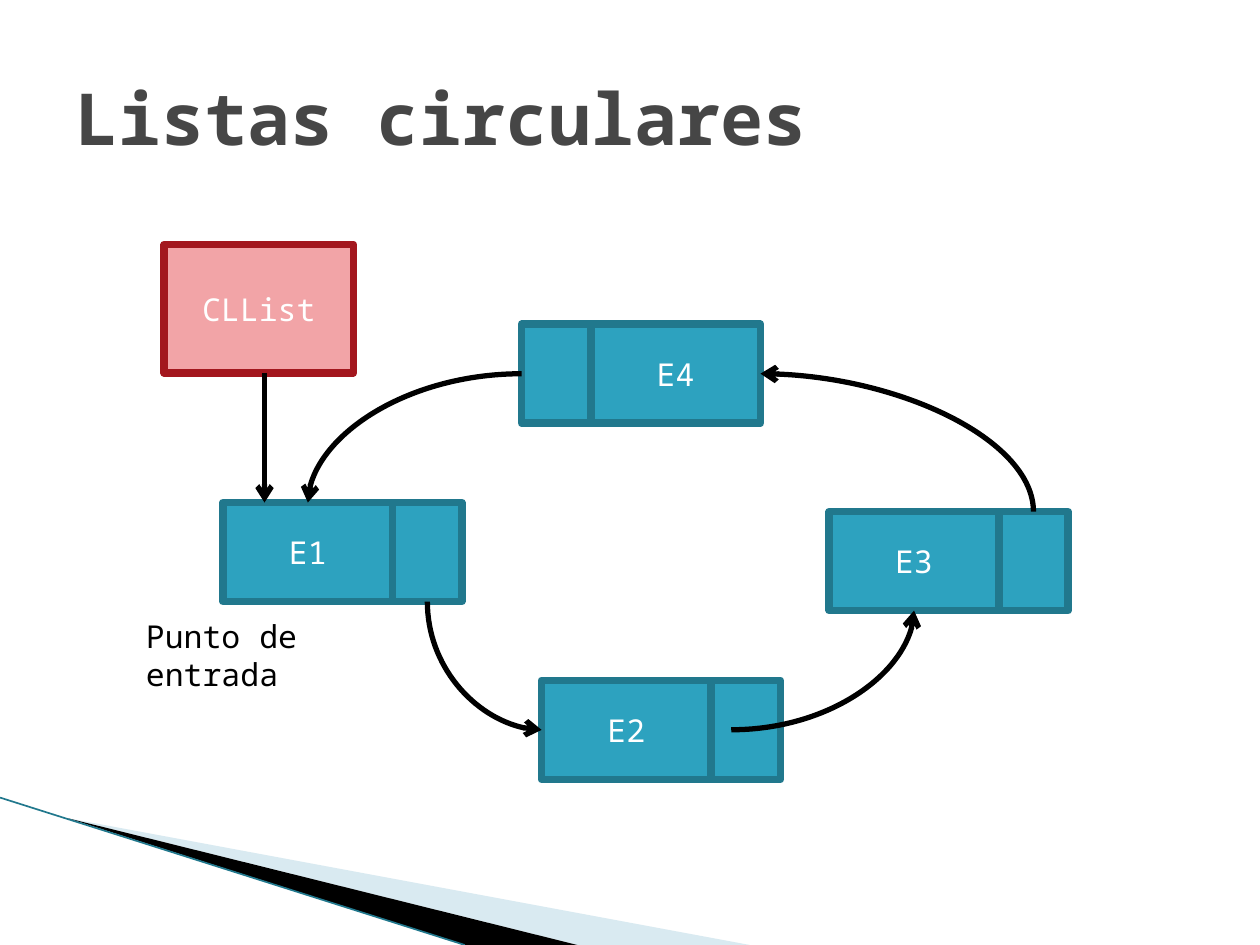
from lxml import etree
from pptx import Presentation
from pptx.dml.color import RGBColor
from pptx.enum.shapes import MSO_CONNECTOR, MSO_SHAPE
from pptx.enum.text import MSO_ANCHOR, PP_ALIGN
from pptx.oxml.ns import qn
from pptx.util import Inches, Pt

RECTANGLE = MSO_SHAPE.RECTANGLE
STRAIGHT, CURVE = MSO_CONNECTOR.STRAIGHT, MSO_CONNECTOR.CURVE
MIDDLE, TOP = MSO_ANCHOR.MIDDLE, MSO_ANCHOR.TOP
LEFT, CENTER = PP_ALIGN.LEFT, PP_ALIGN.CENTER

FONT = "Noto Sans Mono"
WIDTH, HEIGHT = Inches(10), Inches(7.5)
COLUMNS, ROWS = 100, 75          # the slide grid
LINK_SHARE = 0.29                # part of a node taken by its link cell
QUARTER_BACK = 270 * 60000       # rotation in 1/60000 degree


def color(value):
    return RGBColor.from_string(value)


def across(columns):
    return round(columns * WIDTH / COLUMNS)


def down(rows):
    return round(rows * HEIGHT / ROWS)


def place(box):
    left, top, width, height = box
    return across(left), down(top), across(width), down(height)


def write(shape, text, size, ink, align=LEFT, anchor=TOP, bold=False):
    frame = shape.text_frame
    frame.word_wrap = True
    frame.vertical_anchor = anchor
    frame.text = text
    para = frame.paragraphs[0]
    para.alignment = align
    font = para.runs[0].font
    font.name, font.size, font.bold = FONT, Pt(size), bold
    font.color.rgb = color(ink)


def add_text(page, box, text, size, ink, **style):
    write(page.shapes.add_textbox(*place(box)), text, size, ink, **style)


def add_cell(page, box, fill, border, text=""):
    cell = page.shapes.add_shape(RECTANGLE, *place(box))
    cell.shadow.inherit = False
    cell.fill.solid()
    cell.fill.fore_color.rgb = color(fill)
    cell.line.color.rgb = color(border)
    cell.line.width = Pt(4.33)
    if text:
        write(cell, text, 18, "FFFFFF", align=CENTER, anchor=MIDDLE)


def add_line(page, kind, start, end, ink="000000", width=3, arrow=True):
    line = page.shapes.add_connector(
        kind, across(start[0]), down(start[1]), across(end[0]), down(end[1]))
    line.line.color.rgb = color(ink)
    line.line.width = Pt(width)
    properties = line._element.spPr
    if arrow:
        etree.SubElement(properties.find(qn("a:ln")), qn("a:tailEnd"), type="arrow")
    etree.SubElement(properties, qn("a:effectLst"))
    return line


def add_arc(page, start, end, vertical_first=False):
    """Quarter curve; leaving vertically needs a turned frame."""
    if vertical_first:
        mid_x, mid_y = (start[0] + end[0]) / 2, (start[1] + end[1]) / 2
        half_x, half_y = (start[1] - end[1]) / 2, (end[0] - start[0]) / 2
        start = mid_x - half_x, mid_y - half_y
        end = mid_x + half_x, mid_y + half_y
    properties = add_line(page, CURVE, start, end)._element.spPr
    properties.find(qn("a:prstGeom")).set("prst", "curvedConnector2")
    if vertical_first:
        properties.find(qn("a:xfrm")).set("rot", str(QUARTER_BACK))


def add_wedge(page, points, fill, opacity=None):
    corners = [(across(x), down(y)) for x, y in points]
    builder = page.shapes.build_freeform(*corners[0])
    builder.add_line_segments(corners[1:], close=True)
    wedge = builder.convert_to_shape()
    wedge.shadow.inherit = False
    wedge.fill.solid()
    wedge.fill.fore_color.rgb = color(fill)
    wedge.line.fill.background()
    if opacity is not None:
        tint = wedge._element.spPr.find(".//" + qn("a:srgbClr"))
        etree.SubElement(tint, qn("a:alpha"), val=str(opacity * 1000))


def add_corner_decoration(page, box):
    left, top, width, height = box
    bottom = top + height

    def along(share):
        return left + share * width

    tip = along(0.09), top + 0.14 * height
    add_wedge(page, [tip, (along(1), bottom), (along(0.77), bottom)], "A0CBDC", 40)
    add_wedge(page, [tip, (along(0.77), bottom), (along(0.62), bottom)], "000000")
    add_line(page, STRAIGHT, (left, top), (along(0.62), bottom),
             ink="21788D", width=0.95, arrow=False)


def add_node(page, box, name, link_first=False):
    """Two-part list element; returns the boxes of its data and link cells."""
    left, top, width, height = box
    link_width = LINK_SHARE * width
    data_width = width - link_width
    data = left + link_width * link_first, top, data_width, height
    link = left + data_width * (not link_first), top, link_width, height
    for cell, text in ((data, name), (link, "")):
        add_cell(page, cell, "2DA2BF", "21788D", text)
    return data, link


def point(box, share_x, share_y):
    left, top, width, height = box
    return left + share_x * width, top + share_y * height


def add_circular_list(page, box):
    left, top, width, height = box
    node_width, node_height = 0.264 * width, 0.185 * height

    def node_box(x, y):
        return left + x * width, top + y * height, node_width, node_height

    # Head of the list
    head = left + 0.034 * width, top, 0.209 * width, 0.24 * height
    add_cell(page, head, "F2A4A7", "A3171E", "CLList")

    # Elements
    data_1, link_1 = add_node(page, node_box(0.099, 0.482), "E1")
    data_2, link_2 = add_node(page, node_box(0.451, 0.814), "E2")
    data_3, link_3 = add_node(page, node_box(0.769, 0.499), "E3")
    data_4, link_4 = add_node(page, node_box(0.429, 0.149), "E4", link_first=True)

    # Entry arrow and the four links of the ring
    entry = point(head, 0.53, 1)
    add_line(page, STRAIGHT, entry, (entry[0], data_1[1]))
    add_arc(page, point(link_1, 0.5, 1), point(data_2, 0, 0.5), vertical_first=True)
    add_arc(page, point(link_2, 0.29, 0.5), point(data_3, 0.5, 1))
    add_arc(page, point(link_3, 0.5, 0), point(data_4, 1, 0.5), vertical_first=True)
    add_arc(page, point(link_4, 0, 0.5), point(data_1, 0.5, 0))

    # Caption under the entry element
    caption = left, top + 0.685 * height, 0.32 * width, 0.094 * height
    add_text(page, caption, "Punto de entrada", 18, "000000")


def main():
    deck = Presentation()
    deck.slide_width, deck.slide_height = WIDTH, HEIGHT
    page = deck.slides.add_slide(deck.slide_layouts[6])
    add_corner_decoration(page, (0, 63.3, 59.5, 11.7))
    add_text(page, (5, 3, 90, 12.5), "Listas circulares", 41, "464646",
             anchor=MIDDLE, bold=True)
    add_circular_list(page, (10.6, 19.4, 71.8, 42.5))
    deck.save("out.pptx")


if __name__ == "__main__":
    main()
